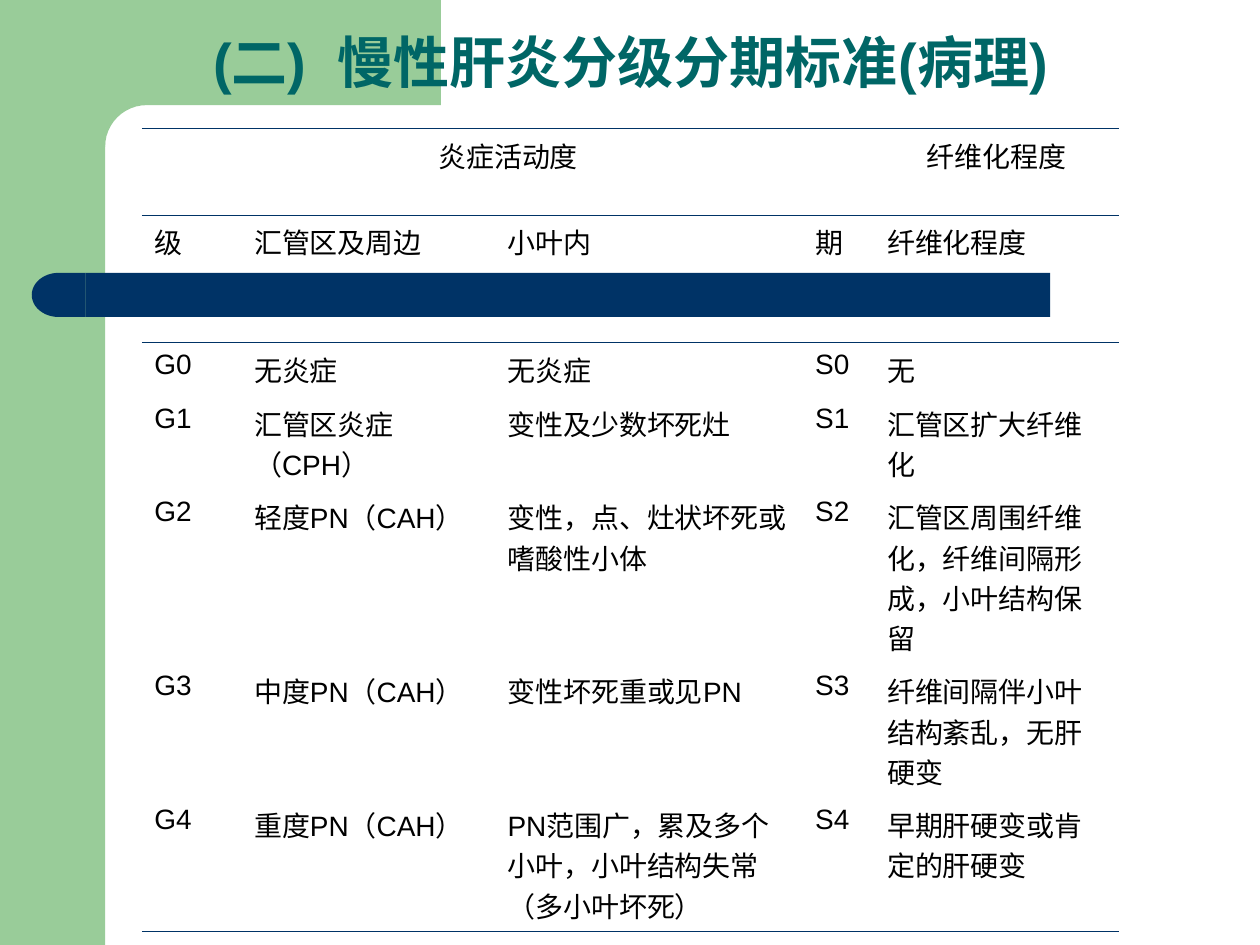
from dataclasses import dataclass
from math import cos, pi, sin

from lxml.etree import SubElement
from pptx import Presentation
from pptx.dml.color import RGBColor
from pptx.enum.shapes import MSO_SHAPE
from pptx.enum.text import MSO_ANCHOR, PP_ALIGN
from pptx.oxml.ns import qn
from pptx.util import Cm, Pt


@dataclass(frozen=True)
class Theme:
    """Colours, font and sizes of the slide."""
    green: RGBColor = RGBColor(0x99, 0xCC, 0x99)
    navy: RGBColor = RGBColor(0x00, 0x33, 0x66)
    teal: RGBColor = RGBColor(0x00, 0x66, 0x66)
    black: RGBColor = RGBColor(0x00, 0x00, 0x00)
    font: str = "Arial"
    title_size: float = 32
    body_size: float = 16
    thin_rule: float = 0.45
    thick_rule: float = 1.08
    plain_table: str = "{2D5ABB26-0587-4C30-8999-92F81FD0307C}"


@dataclass(frozen=True)
class Box:
    """A region in centimetres."""
    left: float
    top: float
    width: float
    height: float


THEME = Theme()
TITLE = "(二)  慢性肝炎分级分期标准(病理)"
COLUMN_WIDTHS = (2.01, 5.11, 6.2, 1.45, 4.93)
ROW_HEIGHTS = (2.34, 1.75, 2.57, 1.09, 1.63, 3, 2.31, 2.31)
ROWS = (
    (TITLE, "", "", "", ""),
    ("炎症活动度", "", "", "", "纤维化程度"),
    ("级", "汇管区及周边", "小叶内", "期", "纤维化程度"),
    ("G0", "无炎症", "无炎症", "S0", "无"),
    ("G1", "汇管区炎症（CPH）", "变性及少数坏死灶", "S1", "汇管区扩大纤维化"),
    ("G2", "轻度PN（CAH）", "变性，点、灶状坏死或嗜酸性小体", "S2",
     "汇管区周围纤维化，纤维间隔形成，小叶结构保留"),
    ("G3", "中度PN（CAH）", "变性坏死重或见PN", "S3", "纤维间隔伴小叶结构紊乱，无肝硬变"),
    ("G4", "重度PN（CAH）", "PN范围广，累及多个小叶，小叶结构失常（多小叶坏死）", "S4",
     "早期肝硬变或肯定的肝硬变"),
)
RULES_BELOW = {0: THEME.thin_rule, 1: THEME.thin_rule, 7: THEME.thick_rule}


def paint(shape, colour):
    """Give a shape a flat fill without line or shadow."""
    shape.shadow.inherit = False
    shape.fill.solid()
    shape.fill.fore_color.rgb = colour
    shape.line.fill.background()


def add_block(slide, kind, box, colour):
    """Add one flat preset shape."""
    shape = slide.shapes.add_shape(
        kind, Cm(box.left), Cm(box.top), Cm(box.width), Cm(box.height))
    paint(shape, colour)
    return shape


def add_green_frame(slide, box, side_width, band_height, radius):
    """Draw the green side panel and the top band with its rounded inner corner."""
    add_block(slide, MSO_SHAPE.RECTANGLE,
              Box(box.left, box.top, side_width, box.height), THEME.green)
    inner, right = box.left + side_width, box.left + box.width
    band_bottom = box.top + band_height
    overlap = inner - radius
    corner = [(inner + radius * (1 - sin(step * pi / 24)),
               band_bottom + radius * (1 - cos(step * pi / 24))) for step in range(13)]
    outline = [(right, box.top), (right, band_bottom), *corner,
               (overlap, band_bottom + radius)]
    builder = slide.shapes.build_freeform(Cm(overlap), Cm(box.top))
    builder.add_line_segments([(Cm(x), Cm(y)) for x, y in outline])
    paint(builder.convert_to_shape(), THEME.green)


def add_navy_bar(slide, box, cap_width):
    """Draw the navy bar with a rounded left end."""
    cap = add_block(slide, MSO_SHAPE.FLOWCHART_DELAY,
                    Box(box.left, box.top, cap_width, box.height), THEME.navy)
    cap.rotation = 180
    add_block(slide, MSO_SHAPE.RECTANGLE,
              Box(box.left + cap_width, box.top, box.width - cap_width, box.height),
              THEME.navy)


def add_rule(cell, tag, width):
    """Append a navy border to one side of a cell."""
    line = SubElement(cell._tc.get_or_add_tcPr(), qn(tag), w=str(Pt(width)))
    fill = SubElement(line, qn("a:solidFill"))
    SubElement(fill, qn("a:srgbClr"), val=str(THEME.navy))


def write_cell(cell, text, is_title, centred):
    """Write a cell's text in the title or body style."""
    cell.vertical_anchor = MSO_ANCHOR.TOP
    paragraph = cell.text_frame.paragraphs[0]
    paragraph.alignment = PP_ALIGN.CENTER if centred else PP_ALIGN.LEFT
    run = paragraph.add_run()
    run.text = text
    run.font.name = THEME.font
    run.font.size = Pt(THEME.title_size if is_title else THEME.body_size)
    run.font.bold = is_title
    run.font.color.rgb = THEME.teal if is_title else THEME.black


def add_grading_table(slide, box):
    """Build the grading and staging table."""
    table_frame = slide.shapes.add_table(
        len(ROWS), len(COLUMN_WIDTHS),
        Cm(box.left), Cm(box.top), Cm(box.width), Cm(box.height))
    table = table_frame.table
    table.first_row = table.horz_banding = False
    table._tbl.tblPr.find(qn("a:tableStyleId")).text = THEME.plain_table
    for column, width in zip(table.columns, COLUMN_WIDTHS):
        column.width = Cm(width)
    for row, height in zip(table.rows, ROW_HEIGHTS):
        row.height = Cm(height)
    table.cell(0, 0).merge(table.cell(0, 4))
    table.cell(1, 0).merge(table.cell(1, 3))
    for row_index, texts in enumerate(ROWS):
        for column_index, text in enumerate(texts):
            cell = table.cell(row_index, column_index)
            if text:
                write_cell(cell, text, row_index == 0, row_index < 2)
            for tag, rule_index in (("a:lnT", row_index - 1), ("a:lnB", row_index)):
                if rule_index in RULES_BELOW:
                    add_rule(cell, tag, RULES_BELOW[rule_index])
            cell.fill.background()


def main():
    """Build and save the presentation."""
    presentation = Presentation()
    presentation.slide_width, presentation.slide_height = Cm(25.4), Cm(19.05)
    slide = presentation.slides.add_slide(presentation.slide_layouts[6])
    add_green_frame(slide, Box(0, 0, 8.89, 19.05), 2.12, 2.12, 0.84)
    add_navy_bar(slide, Box(0.64, 5.5, 20.53, 0.89), 1.08)
    add_grading_table(slide, Box(2.86, 0.25, sum(COLUMN_WIDTHS), sum(ROW_HEIGHTS)))
    presentation.save("out.pptx")


if __name__ == "__main__":
    main()
